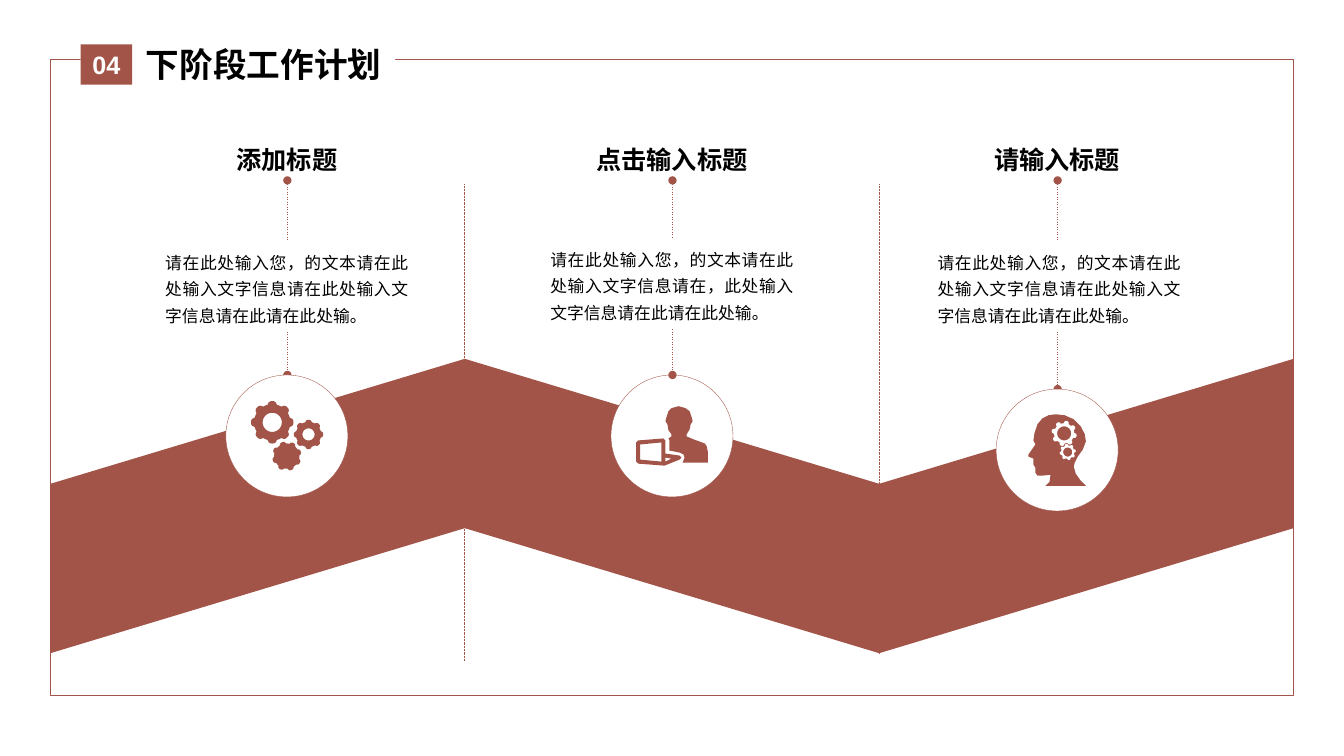
"""Build the next-stage work plan slide with three columns over a zigzag band."""
from math import cos, radians, sin

from lxml.etree import SubElement
from pptx import Presentation
from pptx.dml.color import RGBColor
from pptx.enum.dml import MSO_LINE
from pptx.enum.shapes import MSO_CONNECTOR, MSO_SHAPE
from pptx.enum.text import MSO_ANCHOR, MSO_AUTO_SIZE, PP_ALIGN
from pptx.oxml.ns import qn
from pptx.util import Pt

PX = 9144
RUST = RGBColor(0xA2, 0x54, 0x48)
WHITE = RGBColor(0xFF, 0xFF, 0xFF)
BLACK = RGBColor(0x00, 0x00, 0x00)
CJK_FONT = "Noto Sans CJK SC"

presentation = Presentation()
presentation.slide_width = 1333 * PX
presentation.slide_height = 750 * PX
slide = presentation.slides.add_slide(presentation.slide_layouts[5])
shapes = slide.shapes


def add_filled(kind, box, fill, line_width=0):
    """Add a flat preset shape with an optional rust outline."""
    shape = shapes.add_shape(kind, *(length * PX for length in box))
    shape.shadow.inherit = False
    shape.fill.solid()
    shape.fill.fore_color.rgb = fill
    if line_width:
        shape.line.color.rgb = RUST
        shape.line.width = Pt(line_width)
    else:
        shape.line.fill.background()
    return shape


def write(shape, text, size, color=BLACK, bold=True, font=CJK_FONT,
          anchor=MSO_ANCHOR.MIDDLE, alignment=PP_ALIGN.CENTER, spacing=1.0):
    """Put one formatted paragraph into a shape."""
    frame = shape.text_frame
    frame_format = {
        "word_wrap": True, "auto_size": MSO_AUTO_SIZE.NONE, "vertical_anchor": anchor,
        "margin_left": 10 * PX, "margin_right": 10 * PX,
        "margin_top": 5 * PX, "margin_bottom": 5 * PX,
    }
    for name, value in frame_format.items():
        setattr(frame, name, value)
    paragraph = frame.paragraphs[0]
    paragraph.alignment = alignment
    paragraph.line_spacing = spacing
    run = paragraph.add_run()
    run.text = text
    for name, value in {"size": Pt(size), "bold": bold, "name": font}.items():
        setattr(run.font, name, value)
    run.font.color.rgb = color
    SubElement(run.font._element, qn("a:ea")).set("typeface", font)


add_filled(MSO_SHAPE.RECTANGLE, (50, 59, 1233, 631), WHITE, 1)
add_filled(MSO_SHAPE.RECTANGLE, (80, 15, 312, 98), WHITE)

BAND_LEFT, BAND_STEP = 50, 411
HIGH, LOW, BAND_HEIGHT = 356, 480, 168
outlines = []
for index, (start, end) in enumerate([(LOW, HIGH), (HIGH, LOW), (LOW, HIGH)]):
    left = BAND_LEFT + index * BAND_STEP
    right = left + BAND_STEP
    outlines.append((RUST, [[(left, start), (right, end),
                             (right, end + BAND_HEIGHT), (left, start + BAND_HEIGHT)]]))

head = [
    (1047, 411), (1056, 412), (1065, 416), (1072, 423), (1076, 431), (1077, 438),
    (1074, 446), (1069, 453), (1066, 459), (1065, 463), (1067, 470), (1072, 477),
    (1077, 482), (1037, 482), (1041, 478), (1042, 471), (1033, 472), (1029, 472),
    (1027, 469), (1027, 464), (1025, 461), (1025, 455), (1020, 453), (1020, 451),
    (1027, 441), (1025, 437), (1026, 430), (1029, 421), (1034, 415), (1040, 412),
]
person = [
    (673, 403), (680, 405), (684, 408), (686, 414), (687, 418), (685, 421),
    (684, 426), (681, 431), (681, 433), (688, 436), (699, 440), (701, 443),
    (702, 448), (702, 459), (677, 459), (679, 454), (678, 451), (674, 449),
    (664, 447), (664, 437), (663, 435), (666, 433), (666, 431), (663, 427),
    (662, 421), (660, 418), (661, 414), (663, 408), (666, 405),
]
laptop = [
    (658, 435), (660, 437), (660, 450), (674, 452), (676, 454), (674, 456),
    (659, 462), (633, 460), (631, 458), (631, 439), (633, 437),
]
screen = [(656, 439), (635, 441), (635, 456), (656, 458)]
keyboard = [(660, 454), (660, 458), (666, 455)]
icons = [(RUST, [person]), (RUST, [laptop, screen, keyboard]), (RUST, [head])]

gears = [
    (RUST, 270, 419, 21, 18, 9.5, 0),
    (RUST, 306, 431, 14.5, 12.5, 6, 0),
    (RUST, 284.5, 452.5, 14.5, 12.5, 0, -18),
    (WHITE, 1055.5, 430, 12.5, 10, 7, 12),
    (WHITE, 1059, 448.5, 8, 6.5, 4.5, -10),
]
for color, x, y, tip, valley, hole, turn in gears:
    rim, bore = [], []
    for degrees in range(0, 360, 5):
        angle = radians(degrees + turn)
        wave = max(-1, min(1, 2.5 * cos(radians(8 * degrees))))
        radius = (tip + valley) / 2 + wave * (tip - valley) / 2
        rim.append((x + radius * cos(angle), y + radius * sin(angle)))
        bore.append((x + hole * cos(angle), y + hole * sin(angle)))
    icons.append((color, [rim, bore] if hole else [rim]))

columns = [
    ("添加标题", "请在此处输入您，的文本请在此处输入文字信息请在此处输入文字信息请在此请在此处输。",
     285, 372, 154, 240, False),
    ("点击输入标题", "请在此处输入您，的文本请在此处输入文字信息请在，此处输入文字信息请在此请在此处输。",
     667, 372, 536, 237, True),
    ("请输入标题", "请在此处输入您，的文本请在此处输入文字信息请在此处输入文字信息请在此请在此处输。",
     1049, 386, 920, 240, False),
]
lines = [(x, 179, bottom, 0.25, MSO_LINE.DASH) for _, _, x, bottom, *_ in columns]
lines += [(461, 183, 656, 0.5, MSO_LINE.ROUND_DOT), (872, 183, 648, 0.5, MSO_LINE.ROUND_DOT)]

for layer in (outlines, icons):
    for color, contours in layer:
        points = [[(round(x * PX), round(y * PX)) for x, y in contour] for contour in contours]
        builder = shapes.build_freeform(*points[0][0], scale=1.0)
        builder.add_line_segments(points[0][1:], close=True)
        for contour in points[1:]:
            builder.move_to(*contour[0])
            builder.add_line_segments(contour[1:], close=True)
        outline = builder.convert_to_shape()
        outline.shadow.inherit = False
        outline.fill.solid()
        outline.fill.fore_color.rgb = color
        outline.line.fill.background()
    if layer is icons:
        break

    connectors = []
    for x, top, bottom, width, dash in lines:
        connector = shapes.add_connector(
            MSO_CONNECTOR.STRAIGHT, x * PX, top * PX, x * PX, bottom * PX)
        connector.line.color.rgb = RUST
        connector.line.width = Pt(width)
        connector.line.dash_style = dash
        if dash == MSO_LINE.DASH:
            for end in ("a:headEnd", "a:tailEnd"):
                SubElement(connector.line._ln, qn(end)).set("type", "oval")
        SubElement(connector._element.spPr, qn("a:effectLst"))
        connectors.append(connector)

    for stem, (heading, text, x, bottom, left, top, stem_in_front) in zip(connectors, columns):
        circle = add_filled(MSO_SHAPE.OVAL, (x - 61, bottom, 121, 121), WHITE, 0.25)
        if stem_in_front:
            circle._element.addnext(stem._element)
        heading_box = shapes.add_textbox((x - 131) * PX, 139 * PX, 261 * PX, 39 * PX)
        write(heading_box, heading, 18)
        body = add_filled(MSO_SHAPE.RECTANGLE, (left, top, 261, 89), WHITE)
        write(body, text, 12, bold=False, anchor=MSO_ANCHOR.TOP,
              alignment=PP_ALIGN.JUSTIFY, spacing=1.3)

title = shapes.title
title_box = {"left": 131, "top": 39, "width": 261, "height": 50}
for name, value in title_box.items():
    setattr(title, name, value * PX)
write(title, "下阶段工作计划", 24, anchor=MSO_ANCHOR.TOP)
shapes._spTree.append(title._element)

number = add_filled(MSO_SHAPE.RECTANGLE, (80, 44, 51, 40), RUST)
write(number, "04", 18, color=WHITE, font="Arial")

presentation.save("out.pptx")
